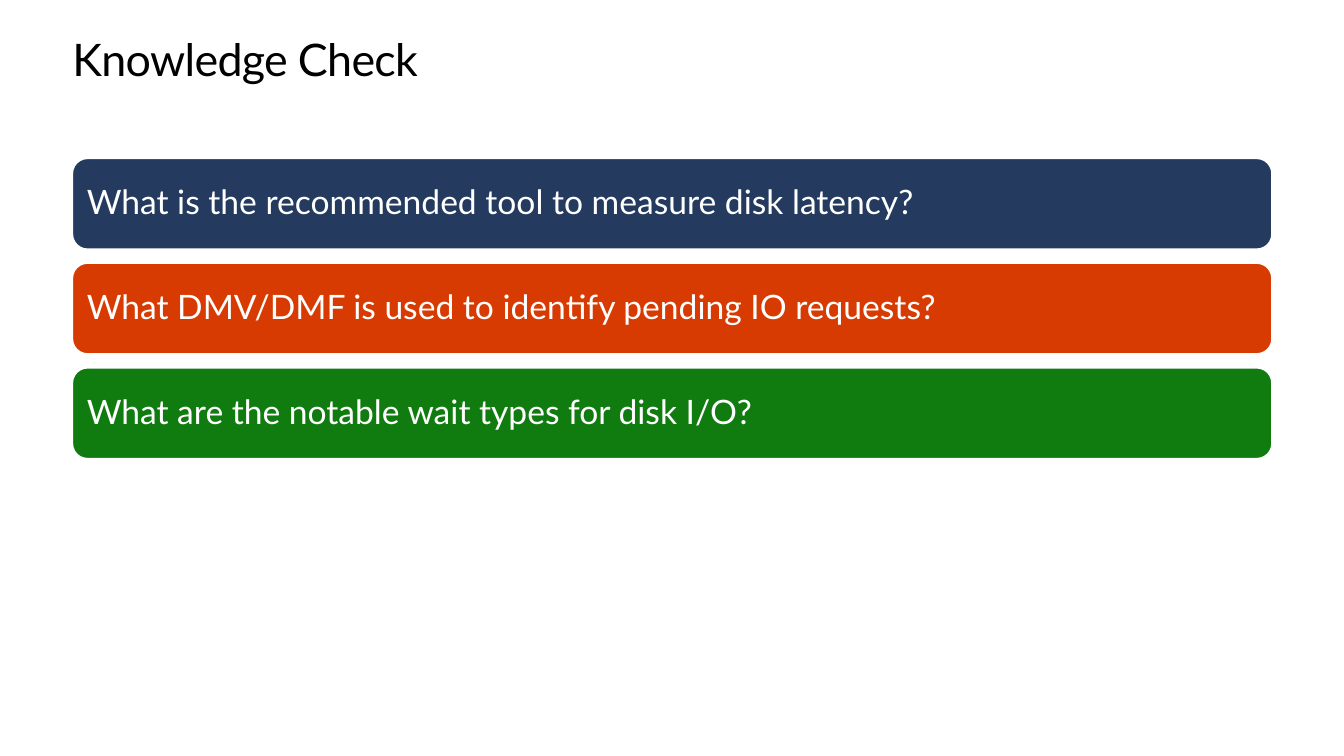
import dataclasses
import pptx
import pptx.dml.color
import pptx.enum.shapes
import pptx.enum.text
import pptx.shapes.autoshape
import pptx.slide
import pptx.util

Pt = pptx.util.Pt
COLORS = {
    "black": "000000",
    "white": "FFFFFF",
    "navy": "243A5E",
    "orange": "D83B01",
    "green": "107C10",
}
LEFT, WIDTH = 51.75, 856.8
TITLE_TOP, TITLE_HEIGHT = 25.2, 36.0
FIRST_TOP, BAR_HEIGHT, BAR_STEP = 113.2, 64.8, 74.8


@dataclasses.dataclass(frozen=True)
class Question:
    text: str
    color: str


QUESTIONS = [
    Question("What is the recommended tool to measure disk latency?", "navy"),
    Question("What DMV/DMF is used to identify pending IO requests?", "orange"),
    Question("What are the notable wait types for disk I/O?", "green"),
]


def rgb(name: str) -> pptx.dml.color.RGBColor:
    return pptx.dml.color.RGBColor.from_string(COLORS[name])


def write_text(
    box: pptx.shapes.autoshape.Shape,
    text: str,
    *,
    size: float,
    color: str,
    line_spacing: float | pptx.util.Length,
    inset: float = 0,
    anchor: pptx.enum.text.MSO_ANCHOR = pptx.enum.text.MSO_ANCHOR.TOP,
    tracking: float = 0,
) -> None:
    frame = box.text_frame
    frame.word_wrap = True
    frame.vertical_anchor = anchor
    frame.margin_left = frame.margin_right = Pt(inset)
    frame.margin_top = frame.margin_bottom = Pt(inset)
    para = frame.paragraphs[0]
    para.alignment = pptx.enum.text.PP_ALIGN.LEFT
    para.line_spacing = line_spacing
    span = para.add_run()
    span.text = text
    span.font.name = "Lato"
    span.font.size = Pt(size)
    span.font.color.rgb = rgb(color)
    if tracking:
        span.font._element.set("spc", str(round(tracking * 100)))


def draw_title(page: pptx.slide.Slide, text: str) -> None:
    box = page.shapes.add_textbox(Pt(LEFT), Pt(TITLE_TOP), Pt(WIDTH), Pt(TITLE_HEIGHT))
    write_text(box, text, size=32, color="black", line_spacing=Pt(36.2), tracking=-0.5)


def draw_question(page: pptx.slide.Slide, question: Question, index: int) -> None:
    bar = page.shapes.add_shape(
        pptx.enum.shapes.MSO_SHAPE.ROUNDED_RECTANGLE,
        Pt(LEFT), Pt(FIRST_TOP + index * BAR_STEP), Pt(WIDTH), Pt(BAR_HEIGHT),
    )
    bar.shadow.inherit = False
    bar.fill.solid()
    bar.fill.fore_color.rgb = rgb(question.color)
    bar.line.color.rgb = rgb("white")
    bar.line.width = Pt(1)
    write_text(
        bar, question.text, size=24, color="white", line_spacing=0.9,
        inset=7.2, anchor=pptx.enum.text.MSO_ANCHOR.MIDDLE,
    )


def main() -> None:
    deck = pptx.Presentation()
    deck.slide_width, deck.slide_height = Pt(960), Pt(540)
    page = deck.slides.add_slide(deck.slide_layouts[6])
    draw_title(page, "Knowledge Check")
    for index, question in enumerate(QUESTIONS):
        draw_question(page, question, index)
    deck.save("out.pptx")


if __name__ == "__main__":
    main()
